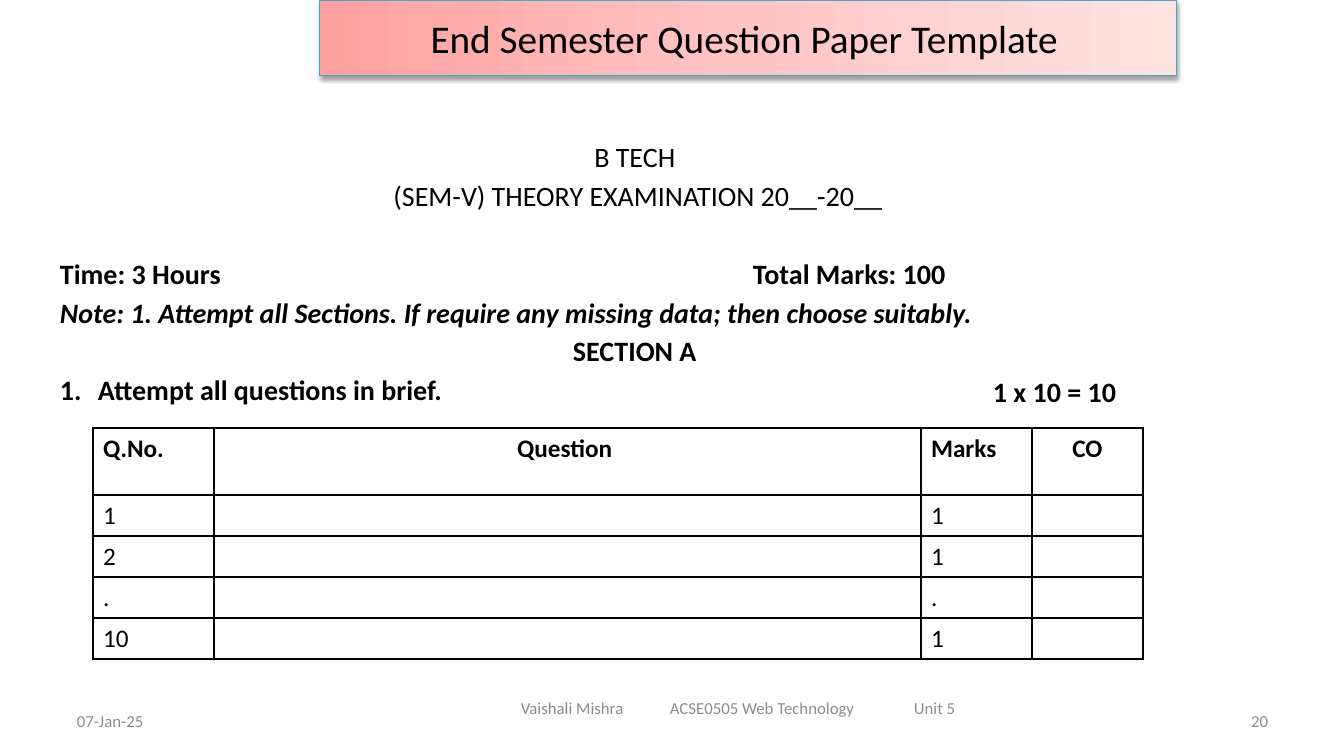
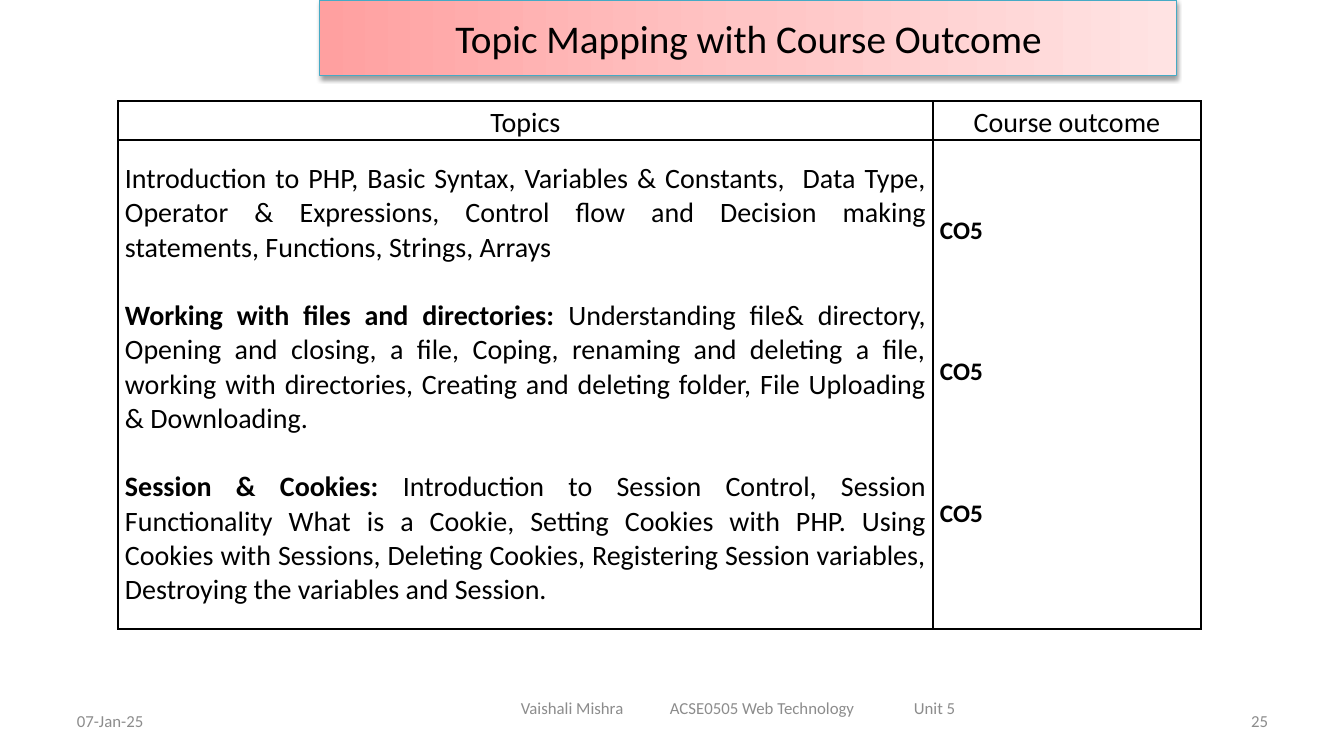
from dataclasses import dataclass, field

import lxml.etree
import pptx
import pptx.dml.color
import pptx.enum.shapes
import pptx.enum.text
import pptx.oxml
import pptx.oxml.ns
import pptx.util

ALIGN = pptx.enum.text.PP_ALIGN
ANCHOR = pptx.enum.text.MSO_ANCHOR
EMU_PER_PX = 914400 / 100.8


# Theme and content kinds
@dataclass(frozen=True)
class Theme:
    font: str = "Calibri"
    ink: str = "000000"
    paper: str = "FFFFFF"
    muted: str = "8C8C8C"
    banner_edge: str = "46AAC5"
    banner_stops: tuple = ((0, "FFA0A0"), (50, "FFC5C5"), (100, "FFE3E3"))
    title: int = 28
    body: int = 20
    cell: int = 18
    footer: int = 12
    body_gap: float = 3.6
    topic_gap: float = 24.4


THEME = Theme()


@dataclass
class Para:
    """A paragraph: (text, run format) pairs, paragraph format, tabs, number."""
    runs: list
    form: dict = field(default_factory=dict)
    tabs: tuple = ()
    number_indent: int = 0


def px(length):
    return pptx.util.Emu(round(length * EMU_PER_PX))


def rgb(value):
    return pptx.dml.color.RGBColor.from_string(value)


def set_format(target, values):
    for name, value in values.items():
        setattr(target, name, value)


def add_xml(parent, tag, **attributes):
    child = lxml.etree.SubElement(parent, pptx.oxml.ns.qn(tag))
    for name, value in attributes.items():
        child.set(name, str(value))
    return child


# Text
def write(frame, paras, size, color=THEME.ink):
    for index, para in enumerate(paras):
        line = frame.add_paragraph() if index else frame.paragraphs[0]
        properties = line._p.get_or_add_pPr()
        if para.number_indent:
            properties.set("marL", str(px(para.number_indent)))
            properties.set("indent", str(-px(para.number_indent)))
            add_xml(properties, "a:buFont", typeface="+mj-lt")
            add_xml(properties, "a:buAutoNum", type="arabicPeriod")
        if para.tabs:
            stops = add_xml(properties, "a:tabLst")
            for stop in para.tabs:
                add_xml(stops, "a:tab", pos=px(stop), algn="l")
        set_format(line, para.form)
        for text, style in para.runs:
            run = line.add_run()
            run.text = text
            set_format(run.font, {"name": THEME.font,
                                  "size": pptx.util.Pt(size), **style})
            run.font.color.rgb = rgb(color)


def add_text(slide, box, paras, size, color=THEME.ink, **frame_form):
    frame = slide.shapes.add_textbox(*map(px, box)).text_frame
    set_format(frame, {"word_wrap": True, **frame_form})
    write(frame, paras, size, color)


# Title banner
def add_banner(slide, title):
    banner = slide.shapes.add_shape(
        pptx.enum.shapes.MSO_SHAPE.RECTANGLE, *map(px, (320, 0, 857, 76)))
    banner.line.color.rgb = rgb(THEME.banner_edge)
    banner.line.width = pptx.util.Pt(0.75)
    banner.fill.gradient()
    banner.fill.gradient_angle = 0
    properties = banner._element.spPr
    stops = properties.find(".//" + pptx.oxml.ns.qn("a:gsLst"))
    for stop in list(stops):
        stops.remove(stop)
    for percent, color in THEME.banner_stops:
        add_xml(add_xml(stops, "a:gs", pos=percent * 1000),
                "a:srgbClr", val=color)
    banner.shadow.inherit = False
    effects = properties.find(pptx.oxml.ns.qn("a:effectLst"))
    shadow = add_xml(effects, "a:outerShdw", blurRad=40000, dist=20000,
                     dir=5400000, rotWithShape=0)
    add_xml(add_xml(shadow, "a:srgbClr", val=THEME.ink), "a:alpha", val=38000)
    set_format(banner.text_frame,
               {"word_wrap": True, "vertical_anchor": ANCHOR.MIDDLE})
    write(banner.text_frame,
          [Para([(title, {})], {"alignment": ALIGN.CENTER})], THEME.title)


# Footer
def add_footer(slide, page):
    course = "Vaishali Mishra\tACSE0505 Web Technology\tUnit 5"
    parts = (
        ((67, 701, 314, 40), Para([("07-Jan-25", {})])),
        ((511, 688, 489, 40), Para([(course, {})], tabs=(149, 393))),
        ((964, 701, 314, 40),
         Para([(page, {})], {"alignment": ALIGN.RIGHT})),
    )
    for box, para in parts:
        add_text(slide, box, [para], THEME.footer, THEME.muted,
                 vertical_anchor=ANCHOR.MIDDLE)


# Tables
def add_borders(cell):
    properties = cell._tc.get_or_add_tcPr()
    for index, side in enumerate(("a:lnL", "a:lnR", "a:lnT", "a:lnB")):
        edge = pptx.oxml.parse_xml(
            f'<{side} {pptx.oxml.ns.nsdecls("a")} w="12700"><a:solidFill>'
            f'<a:srgbClr val="{THEME.ink}"/></a:solidFill></{side}>')
        properties.insert(index, edge)


def add_grid(slide, corner, widths, heights):
    table = slide.shapes.add_table(
        len(heights), len(widths), *map(px, corner),
        px(sum(widths)), px(sum(heights))).table
    set_format(table, {"first_row": False, "horz_banding": False})
    for column, width in zip(table.columns, widths):
        column.width = px(width)
    for row, height in zip(table.rows, heights):
        row.height = px(height)
    for cell in table.iter_cells():
        cell.fill.solid()
        cell.fill.fore_color.rgb = rgb(THEME.paper)
        add_borders(cell)
    return table


# Slides
def new_slide(deck, title, page):
    slide = deck.slides.add_slide(deck.slide_layouts[6])
    add_footer(slide, page)
    add_banner(slide, title)
    return slide


def build_question_paper(deck):
    slide = new_slide(deck, "End Semester Question Paper Template ", "20")
    bold = {"bold": True}
    gap = {"space_before": pptx.util.Pt(THEME.body_gap)}
    centred = {"alignment": ALIGN.CENTER}
    blank_line = {"space_before": pptx.util.Pt(
        2 * THEME.body_gap + THEME.topic_gap)}
    note = ("Note: 1. Attempt all Sections. If require any missing data; "
            "then choose suitably.")
    add_text(slide, (50, 135, 1176, 284), [
        Para([("B TECH ", {})], centred),
        Para([("(SEM-V) THEORY EXAMINATION 20__-20__", {})],
             {**centred, **gap}),
        Para([("Time: 3 Hours\tTotal Marks: 100", bold)], blank_line,
             tabs=(693,)),
        Para([(note, {"bold": True, "italic": True})], gap),
        Para([("SECTION A ", bold)], {**centred, **gap}),
        Para([("Attempt all questions in brief.", bold)], gap,
             number_indent=38),
    ], THEME.body)
    add_text(slide, (983, 370, 180, 44), [Para([("1 x 10 = 10", bold)])],
             THEME.body)

    # Question grid
    rows = [("Q.No.", "Question ", "Marks", "CO"), ("1", "", "1", ""),
            ("2", "", "1", ""), (".", "", ".", ""), ("10", "", "1", "")]
    grid = add_grid(slide, (93, 428), (121, 707, 111, 111),
                    (67,) + (41,) * 4)
    for row, entries in enumerate(rows):
        for column, entry in enumerate(entries):
            if entry:
                write(grid.cell(row, column).text_frame,
                      [Para([(entry, {"bold": row == 0})],
                            centred if column % 2 else {})], THEME.cell)


def build_topic_mapping(deck):
    slide = new_slide(deck, "Topic Mapping with Course Outcome", "25")
    topics = [
        ("", "Introduction to PHP, Basic Syntax, Variables & Constants,  "
         "Data Type, Operator & Expressions, Control flow and Decision "
         "making statements, Functions, Strings, Arrays"),
        ("Working with files and directories: ",
         "Understanding file& directory, Opening and closing, a file, "
         "Coping, renaming and deleting a file, working with directories, "
         "Creating and deleting folder, File Uploading & Downloading."),
        ("Session & Cookies: ",
         "Introduction to Session Control, Session Functionality What is a "
         "Cookie, Setting Cookies with PHP. Using Cookies with Sessions, "
         "Deleting Cookies, Registering Session variables, Destroying the "
         "variables and Session."),
    ]
    mapping = add_grid(slide, (118, 101), (815, 268), (39, 489))
    for cell in mapping.iter_cells():
        set_format(cell, {"margin_left": px(7), "margin_right": px(7),
                          "margin_top": 0, "margin_bottom": 0,
                          "vertical_anchor": ANCHOR.MIDDLE})
    for column, heading in enumerate(("Topics", "Course outcome")):
        write(mapping.cell(0, column).text_frame,
              [Para([(heading, {})],
                    {"alignment": ALIGN.CENTER, "line_spacing": 1.15})],
              THEME.body)

    # Topics and the outcome beside each
    topic_paras, outcome_paras = [], []
    for index, (lead, detail) in enumerate(topics):
        runs = [(lead, {"bold": True})] if lead else []
        topic_form = {"alignment": ALIGN.JUSTIFY}
        outcome_form = {"line_spacing": 1.15}
        if index:
            topic_form["space_before"] = pptx.util.Pt(THEME.topic_gap)
            outcome_form["space_before"] = px(106)
        topic_paras.append(
            Para(runs + [(detail, {"bold": False})], topic_form))
        outcome_paras.append(Para([("CO5", {"bold": True})], outcome_form))
    write(mapping.cell(1, 0).text_frame, topic_paras, THEME.body)
    outcomes = mapping.cell(1, 1)
    set_format(outcomes, {"margin_top": px(71),
                          "vertical_anchor": ANCHOR.TOP})
    write(outcomes.text_frame, outcome_paras, THEME.cell)


def main():
    deck = pptx.Presentation()
    set_format(deck, {"slide_width": px(1344), "slide_height": px(756)})
    build_question_paper(deck)
    build_topic_mapping(deck)
    deck.save("out.pptx")


if __name__ == "__main__":
    main()
